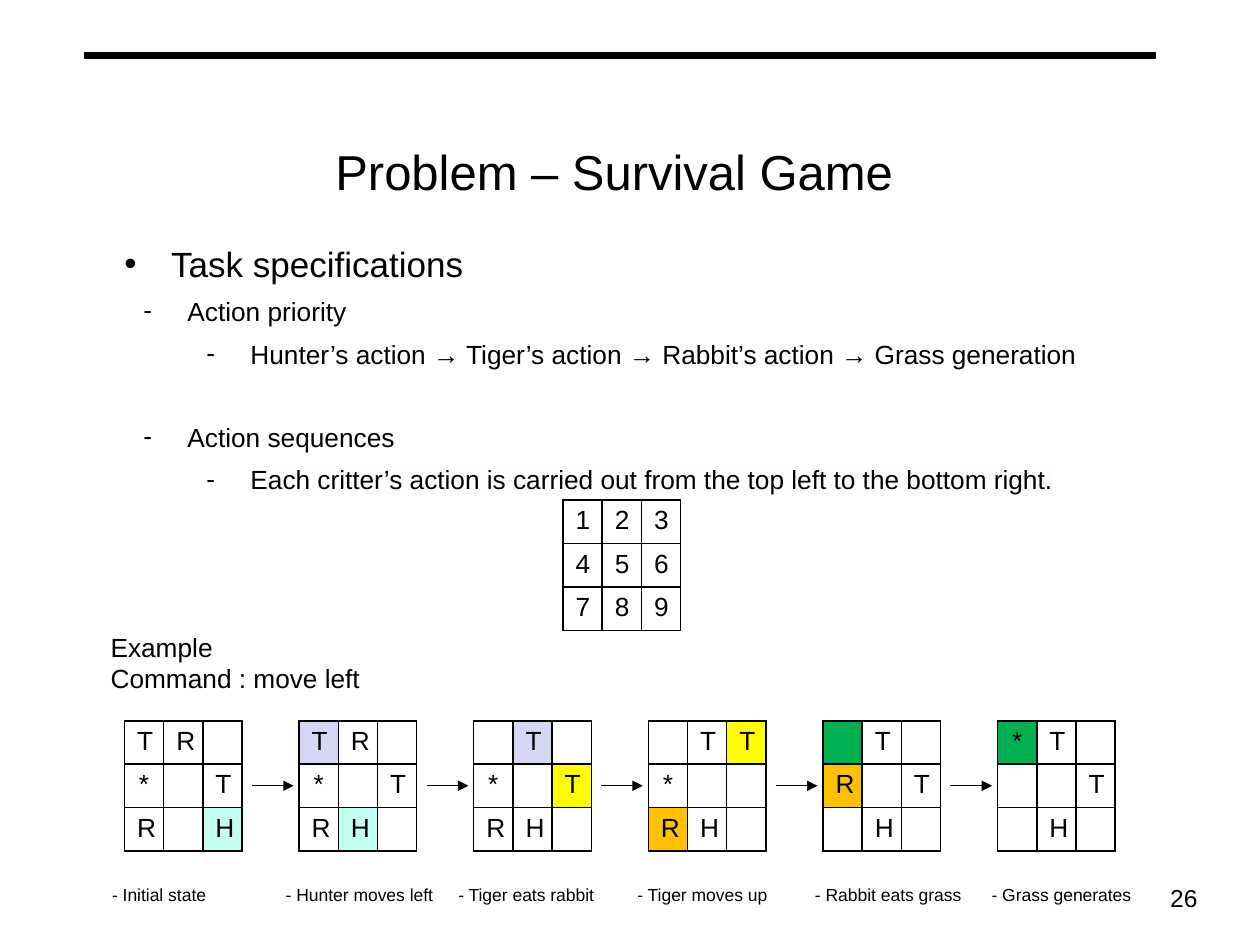
from lxml.etree import SubElement
from pptx import Presentation
from pptx.dml.color import RGBColor
from pptx.enum.shapes import MSO_CONNECTOR, MSO_SHAPE
from pptx.enum.text import MSO_ANCHOR, PP_ALIGN
from pptx.oxml.ns import qn
from pptx.util import Cm, Pt

FONT = "Arial"
COLORS = {
    "ink": "000000",
    "hunter": "C2FFF0",
    "moved_tiger": "D6D6F5",
    "tiger": "FFFF00",
    "rabbit": "FFC000",
    "grass": "00B050",
    "highlight": "FDFDFD",
}

# Grids, in cm
CELL = 0.79
GRID_LEFT, GRID_TOP, GRID_PITCH = 2.51, 14.53, 3.52
ARROW_OFFSET, ARROW_LENGTH, ARROW_TOP = 2.57, 0.84, 15.84
CAPTION_TOP = 17.70

# Caption, caption left, grid rows, coloured cells by (row, column)
STEPS = [
    ("- Initial state", 2.01, ("TR ", "* T", "R H"), {(2, 2): "hunter"}),
    ("- Hunter moves left", 5.51, ("TR ", "* T", "RH "),
     {(0, 0): "moved_tiger", (2, 1): "hunter"}),
    ("- Tiger eats rabbit", 8.99, (" T ", "* T", "RH "),
     {(0, 1): "moved_tiger", (1, 2): "tiger"}),
    ("- Tiger moves up", 12.60, (" TT", "*  ", "RH "),
     {(0, 2): "tiger", (2, 0): "rabbit"}),
    ("- Rabbit eats grass", 16.18, (" T ", "R T", " H "),
     {(0, 0): "grass", (1, 0): "rabbit"}),
    ("- Grass generates", 19.74, ("*T ", "  T", " H "), {(0, 0): "grass"}),
]

# Text, size, level, left margin, hanging indent, bullet, space before, highlight
SPECIFICATIONS = [
    ("Task specifications", 20, 0, 0.94, 0.94, "•", 1, None),
    ("Action priority", 15, 0, 1.27, 0.89, "-", 1, None),
    ("Hunter’s action → Tiger’s action → Rabbit’s action → Grass generation",
     15, 1, 2.54, 0.89, "-", 1, None),
    ("Action sequences", 15, 0, 1.27, 0.89, "-", 24, None),
    ("Each critter’s action is carried out from the top left to the bottom right.",
     15, 1, 2.54, 0.89, "-", 1, "highlight"),
]


def color(name):
    return RGBColor.from_string(COLORS[name])


def add_run(paragraph, text, size):
    run = paragraph.add_run()
    run.text = text
    run.font.name = FONT
    run.font.size = Pt(size)
    run.font.color.rgb = color("ink")
    return run


def add_text_box(slide, left, top, width, height, lines=(), size=15,
                 align=PP_ALIGN.LEFT, anchor=MSO_ANCHOR.TOP):
    shape = slide.shapes.add_textbox(Cm(left), Cm(top), Cm(width), Cm(height))
    frame = shape.text_frame
    frame.word_wrap = True
    frame.vertical_anchor = anchor
    for index, line in enumerate(lines):
        paragraph = frame.add_paragraph() if index else frame.paragraphs[0]
        paragraph.alignment = align
        add_run(paragraph, line, size)
    return frame


def add_bullet(paragraph, margin, hanging, character):
    properties = paragraph._p.get_or_add_pPr()
    properties.set("marL", str(Cm(margin)))
    properties.set("indent", str(-Cm(hanging)))
    SubElement(properties, qn("a:buFont"), typeface=FONT)
    SubElement(properties, qn("a:buChar"), char=character)


def highlight_run(run, name):
    highlight = SubElement(run._r.rPr, qn("a:highlight"))
    SubElement(highlight, qn("a:srgbClr"), val=COLORS[name])
    run._r.rPr.find(qn("a:solidFill")).addnext(highlight)


def add_specifications(slide):
    frame = add_text_box(slide, 2.26, 4.50, 20.78, 12.83)
    for index, item in enumerate(SPECIFICATIONS):
        text, size, level, margin, hanging, bullet, before, highlight = item
        paragraph = frame.add_paragraph() if index else frame.paragraphs[0]
        paragraph.level = level
        paragraph.line_spacing = 1.3
        paragraph.space_before = Pt(before)
        add_bullet(paragraph, margin, hanging, bullet)
        run = add_run(paragraph, text, size)
        if highlight:
            highlight_run(run, highlight)


def add_borders(cell):
    properties = cell._tc.get_or_add_tcPr()
    for position, side in enumerate(("a:lnL", "a:lnR", "a:lnT", "a:lnB")):
        line = SubElement(properties, qn(side), w=str(Pt(1)))
        fill = SubElement(line, qn("a:solidFill"))
        SubElement(fill, qn("a:srgbClr"), val=COLORS["ink"])
        properties.insert(position, line)  # borders precede the fill


def add_grid(slide, left, top, rows, fills):
    side = Cm(CELL * 3)
    table = slide.shapes.add_table(3, 3, Cm(left), Cm(top), side, side).table
    table.first_row = table.horz_banding = False
    for index in range(3):
        table.columns[index].width = table.rows[index].height = Cm(CELL)
    for row, letters in enumerate(rows):
        for column, letter in enumerate(letters):
            cell = table.cell(row, column)
            cell.margin_top = cell.margin_bottom = Cm(0.12)
            if (row, column) in fills:
                cell.fill.solid()
                cell.fill.fore_color.rgb = color(fills[row, column])
            else:
                cell.fill.background()
            add_borders(cell)
            paragraph = cell.text_frame.paragraphs[0]
            paragraph.alignment = PP_ALIGN.CENTER
            if letter != " ":
                add_run(paragraph, letter, 15)
            else:  # keep empty cells from growing their row
                SubElement(paragraph._p, qn("a:endParaRPr"), sz="1500")


def add_arrow(slide, left, top, length):
    arrow = slide.shapes.add_connector(
        MSO_CONNECTOR.STRAIGHT, Cm(left), Cm(top), Cm(left + length), Cm(top))
    arrow.line.color.rgb = color("ink")
    arrow.line.width = Pt(0.75)
    SubElement(arrow.line._get_or_add_ln(), qn("a:tailEnd"), type="triangle")
    SubElement(arrow._element.spPr, qn("a:effectLst"))


def add_bar(slide):
    bar = slide.shapes.add_shape(
        MSO_SHAPE.RECTANGLE, Cm(1.70), Cm(1.07), Cm(21.59), Cm(0.10))
    bar.shadow.inherit = False
    bar.fill.solid()
    bar.fill.fore_color.rgb = color("ink")
    bar.line.color.rgb = color("ink")
    bar.line.width = Pt(0.75)


def main():
    presentation = Presentation()
    presentation.slide_width, presentation.slide_height = Cm(25.4), Cm(19.05)
    slide = presentation.slides.add_slide(presentation.slide_layouts[6])

    # Top bar, page number and title
    add_bar(slide)
    add_text_box(slide, 19.13, 17.48, 5.26, 1.24, ["26"], 14,
                 PP_ALIGN.RIGHT, MSO_ANCHOR.MIDDLE)
    title = add_text_box(slide, 1.70, 1.35, 21.36, 2.59,
                         ["Problem – Survival Game"], 28,
                         PP_ALIGN.CENTER, MSO_ANCHOR.MIDDLE)
    title.paragraphs[0].line_spacing = 2.36

    # Rules and the order of the cells
    add_specifications(slide)
    add_grid(slide, 11.35, 10.08, ("123", "456", "789"), {})

    # Worked example
    add_text_box(slide, 1.98, 12.60, 5.79, 1.73, ["Example", "Command : move left"])
    for index, (caption, caption_left, rows, fills) in enumerate(STEPS):
        left = GRID_LEFT + index * GRID_PITCH
        add_grid(slide, left, GRID_TOP, rows, fills)
        add_text_box(slide, caption_left, CAPTION_TOP, 3.51, 0.69, [caption], 10)
        if index < len(STEPS) - 1:
            add_arrow(slide, left + ARROW_OFFSET, ARROW_TOP, ARROW_LENGTH)

    presentation.save("out.pptx")


if __name__ == "__main__":
    main()
